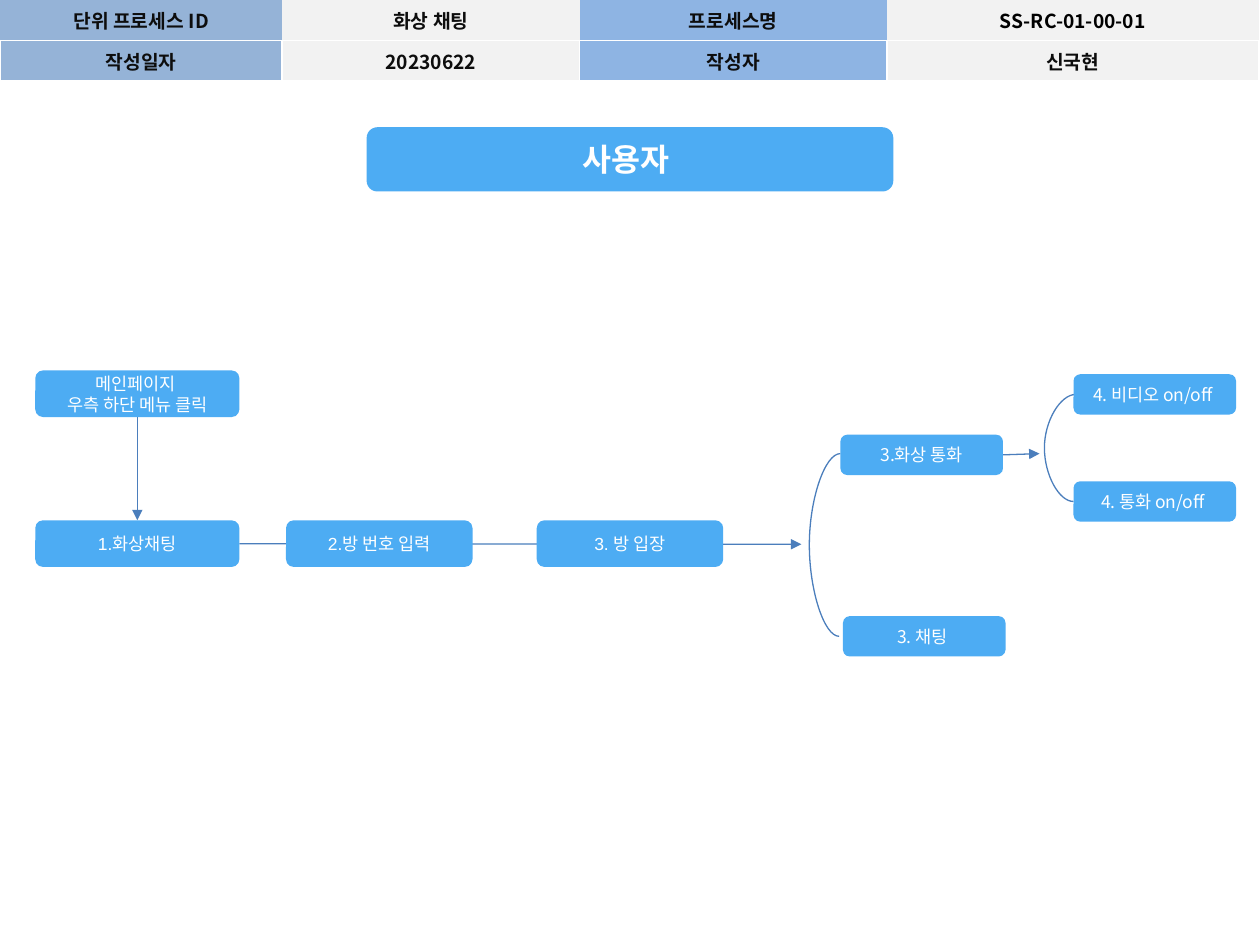
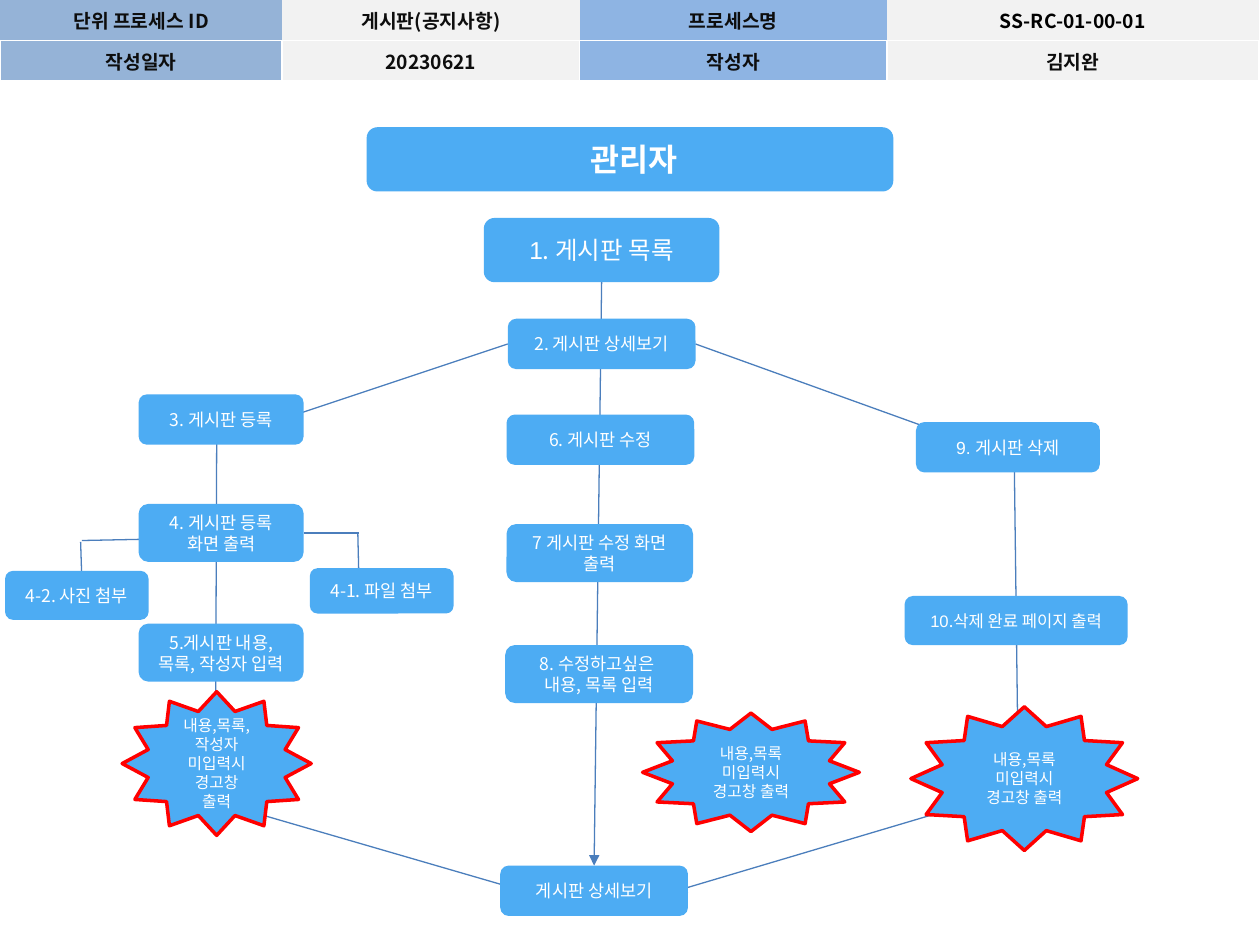
from lxml import etree
from pptx import Presentation
from pptx.dml.color import RGBColor
from pptx.enum.shapes import MSO_CONNECTOR, MSO_SHAPE
from pptx.enum.text import MSO_ANCHOR, MSO_AUTO_SIZE, PP_ALIGN
from pptx.oxml.ns import qn
from pptx.util import Inches, Pt

STRAIGHT, CURVE = MSO_CONNECTOR.STRAIGHT, MSO_CONNECTOR.CURVE
ROUNDED, STAR = MSO_SHAPE.ROUNDED_RECTANGLE, MSO_SHAPE.STAR_12_POINT
CENTER, MIDDLE, NO_FIT = PP_ALIGN.CENTER, MSO_ANCHOR.MIDDLE, MSO_AUTO_SIZE.NONE
TOP, LEFT, BOTTOM, RIGHT = range(4)

COLORS = {
    "box": "4DACF3", "line": "4B7EBC", "warning": "FF0000", "white": "FFFFFF",
    "label": "95B3D7", "label2": "8EB4E3", "value": "F2F2F2",
    "ink": "0D0D0D", "black": "000000",
}
ARIAL, NOTO = "Arial", "Noto Sans CJK KR"
MIXED = (ARIAL, NOTO)
NO_TABLE_STYLE = "{2D5ABB26-0587-4C30-8999-92F81FD0307C}"
TITLE_BAND = [Inches(n) for n in (2.91, 1.01, 4.18, 0.51)]


def rgb(name):
    return RGBColor.from_string(COLORS[name])


def write(frame, paragraphs, fonts, size, color="white", bold=False):
    """Fill a text frame; each paragraph is a tuple of runs, paired with fonts."""
    frame.word_wrap = True
    frame.vertical_anchor = MIDDLE
    for number, runs in enumerate(paragraphs):
        paragraph = frame.add_paragraph() if number else frame.paragraphs[0]
        paragraph.alignment = CENTER
        for text, font_name in zip(runs, fonts):
            run = paragraph.add_run()
            run.text = text
            run.font.size, run.font.bold = Pt(size), bold
            run.font.color.rgb = rgb(color)
            run.font.name = font_name
            east_asian = etree.SubElement(run.font._element, qn("a:ea"))
            east_asian.set("typeface", NOTO)


# Steps: key, (left, top, width, height), paragraphs of runs, fonts, size
# Warnings: (left, top, width, height), text
# Lines: start, end, arrow; an end is a point or (step key, side)
# Brackets: start, end, bend in widths of the connector
pages = [
    {
        "title": "사용자 ",
        "process": "화상 채팅", "date": "20230622", "author": "신국현",
        "steps": [
            ("main", (0.28, 2.94, 1.62, 0.37),
             [("메인페이지 ",), ("우측 하단 메뉴 클릭",)], (ARIAL,), 10),
            ("chat", (0.28, 4.13, 1.62, 0.37), [("1.화상채팅",)], (ARIAL,), 10),
            ("number", (2.27, 4.13, 1.48, 0.37), [("2.방 번호 입력",)], (ARIAL,), 10),
            ("enter", (4.26, 4.13, 1.48, 0.37), [("3. 방 입장",)], (ARIAL,), 10),
            ("call", (6.67, 3.45, 1.29, 0.32), [("3.화상 통화",)], (NOTO,), 10),
            ("text", (6.69, 4.89, 1.29, 0.32), [("3. 채팅 ",)], (NOTO,), 10),
            ("video", (8.52, 2.97, 1.29, 0.32), [("4. 비디오 on/off ",)], (NOTO,), 10),
            ("voice", (8.52, 3.82, 1.29, 0.32), [("4. 통화 on/off ",)], (NOTO,), 10),
        ],
        "warnings": [],
        "lines": [
            (("main", BOTTOM), ("chat", TOP), True),
            (("chat", RIGHT), (6.36, 4.32), True),
            (("call", RIGHT), (8.25, 3.6), True),
        ],
        "brackets": [
            ((6.67, 3.6), (6.66, 5.05), 25),
            ((8.54, 3.13), (8.52, 3.98), 12.5),
        ],
    },
    {
        "title": " 관리자",
        "process": "게시판(공지사항)", "date": "20230621", "author": "김지완",
        "steps": [
            ("list", (3.84, 1.73, 1.87, 0.51), [("1", ". 게시판 목록")], MIXED, 14),
            ("detail", (4.03, 2.53, 1.49, 0.4), [("2. 게시판 상세보기",)], (NOTO,), 10),
            ("post", (1.1, 3.13, 1.31, 0.4), [("3. 게시판 등록",)], (NOTO,), 10),
            ("post form", (1.1, 4, 1.31, 0.46), [("4. 게시판 등록 화면 출력",)], (NOTO,), 10),
            ("file", (2.46, 4.51, 1.14, 0.36), [("4-1. 파일 첨부",)], (NOTO,), 10),
            ("photo", (0.04, 4.53, 1.14, 0.39), [("4-2. 사진 첨부",)], (NOTO,), 10),
            ("post input", (1.1, 4.95, 1.31, 0.46),
             [("5.게시판 내용, 목록, 작성자 입력",)], (NOTO,), 10),
            ("edit", (4.02, 3.29, 1.49, 0.4), [("6. 게시판 수정",)], (NOTO,), 10),
            ("edit form", (4.02, 4.16, 1.48, 0.46), [("7 게시판 수정 화면 출력",)], (NOTO,), 10),
            ("edit input", (4.01, 5.12, 1.49, 0.46),
             [("8. 수정하고싶은 ",), ("내용, 목록 입력",)], (NOTO,), 10),
            ("delete", (7.27, 3.35, 1.46, 0.4), [("9. ", "게시판 삭제")], MIXED, 10),
            ("deleted", (7.18, 4.73, 1.77, 0.39), [("10", ".삭제 완료 페이지 출력")], MIXED, 9.5),
            ("result", (3.97, 6.87, 1.49, 0.4), [("게시판 상세보기",)], (NOTO,), 10),
        ],
        "warnings": [
            ((0.97, 5.49, 1.5, 1.14), "내용,목록,작성자 미입력시 경고창 출력"),
            ((5.1, 5.66, 1.72, 0.94), "내용,목록 미입력시 경고창 출력"),
            ((7.23, 5.61, 1.8, 1.14), "내용,목록 미입력시 경고창 출력"),
        ],
        "lines": [
            (("list", BOTTOM), ("result", TOP), True),
            (("detail", LEFT), (2.05, 3.39), True),
            (("detail", RIGHT), (7.49, 3.44), True),
            ((1.72, 3.52), (1.71, 6.11), True),
            ((8.05, 3.68), (8.08, 6.05), True),
            ((1.57, 6.32), (4.15, 7.07), True),
            ((7.59, 6.41), (5.37, 7.07), True),
            (("post form", RIGHT), (2.85, 4.23), False),
            ((2.84, 4.23), (2.85, 4.66), True),
            ((1.14, 4.28), (0.65, 4.29), False),
            ((0.64, 4.3), (0.65, 4.62), True),
        ],
        "brackets": [],
    },
]

prs = Presentation()
prs.slide_width, prs.slide_height = Inches(10), Inches(7.5)
title_only = prs.slide_layouts[5]

for page in pages:
    slide = prs.slides.add_slide(title_only)
    tree = slide.shapes.element

    # Title on its rounded band
    title = slide.shapes.title
    title.left, title.top, title.width, title.height = TITLE_BAND
    title.text_frame.auto_size = NO_FIT
    write(title.text_frame, [(page["title"],)], (ARIAL,), 18, bold=True)
    band = slide.shapes.add_shape(ROUNDED, *TITLE_BAND)
    band.shadow.inherit = False
    band.fill.solid()
    band.fill.fore_color.rgb = rgb("box")
    band.line.fill.background()
    tree.insert(2, band.element)

    # Process header table
    header = slide.shapes.add_table(2, 4, 0, 0, Inches(10), Inches(0.61))
    table = header.table
    table.first_row = table.horz_banding = False
    next(header.element.iter(qn("a:tableStyleId"))).text = NO_TABLE_STYLE
    for column, width in zip(table.columns, (2.24, 2.36, 2.44, 2.95)):
        column.width = Inches(width)
    for row, height in zip(table.rows, (0.3, 0.31)):
        row.height = Inches(height)
    entries = [
        ("단위 프로세스 ID", page["process"], "프로세스명", "SS-RC-01-00-01"),
        ("작성일자", page["date"], "작성자", page["author"]),
    ]
    for r, texts in enumerate(entries):
        for c, fill in enumerate(("label", "value", "label2", "value")):
            cell = table.cell(r, c)
            cell.fill.solid()
            cell.fill.fore_color.rgb = rgb(fill)
            cell.vertical_anchor = MIDDLE
            ink = "black" if (r, c) == (0, 3) else "ink"
            write(cell.text_frame, [(texts[c],)], (NOTO,), 11, ink, True)
            cell.vertical_anchor = MIDDLE
            properties = cell._tc.tcPr
            for i, edge in enumerate(("lnL", "lnR", "lnT", "lnB") if r else ("lnB",)):
                border = etree.Element(qn(f"a:{edge}"), w=str(Pt(1)))
                border_fill = etree.SubElement(border, qn("a:solidFill"))
                etree.SubElement(border_fill, qn("a:srgbClr"), val=COLORS["white"])
                properties.insert(i, border)

    # Step boxes and warning stars
    steps = {}
    warnings = [(None, place, [(text,)], (NOTO,), 9) for place, text in page["warnings"]]
    for key, place, paragraphs, fonts, size in page["steps"] + warnings:
        step = slide.shapes.add_shape(ROUNDED if key else STAR, *map(Inches, place))
        step.shadow.inherit = False
        step.fill.solid()
        step.fill.fore_color.rgb = rgb("box")
        if key:
            step.line.fill.background()
            steps[key] = step
        else:
            step.line.color.rgb = rgb("warning")
            step.line.width = Pt(2)
        write(step.text_frame, paragraphs, fonts, size)

    # Flow lines and brackets, behind the boxes
    flows = [(STRAIGHT, *line, None) for line in page["lines"]]
    flows += [(CURVE, start, end, False, bend) for start, end, bend in page["brackets"]]
    for kind, start, end, arrow, bend in flows:
        points = [(0, 0) if point[0] in steps else point for point in (start, end)]
        flow = slide.shapes.add_connector(kind, *(Inches(n) for point in points for n in point))
        if start[0] in steps:
            flow.begin_connect(steps[start[0]], start[1])
        if end[0] in steps:
            flow.end_connect(steps[end[0]], end[1])
        flow.line.color.rgb = rgb("line")
        flow.line.width = Pt(0.75)
        outline = flow.element.spPr
        if arrow:
            etree.SubElement(outline.find(qn("a:ln")), qn("a:tailEnd"), type="triangle")
        if bend:
            guides = next(outline.iter(qn("a:avLst")))
            etree.SubElement(guides, qn("a:gd"), name="adj1", fmla=f"val {int(bend * 100000)}")
        etree.SubElement(outline, qn("a:effectLst"))
        tree.insert(2, flow.element)

prs.save("out.pptx")
